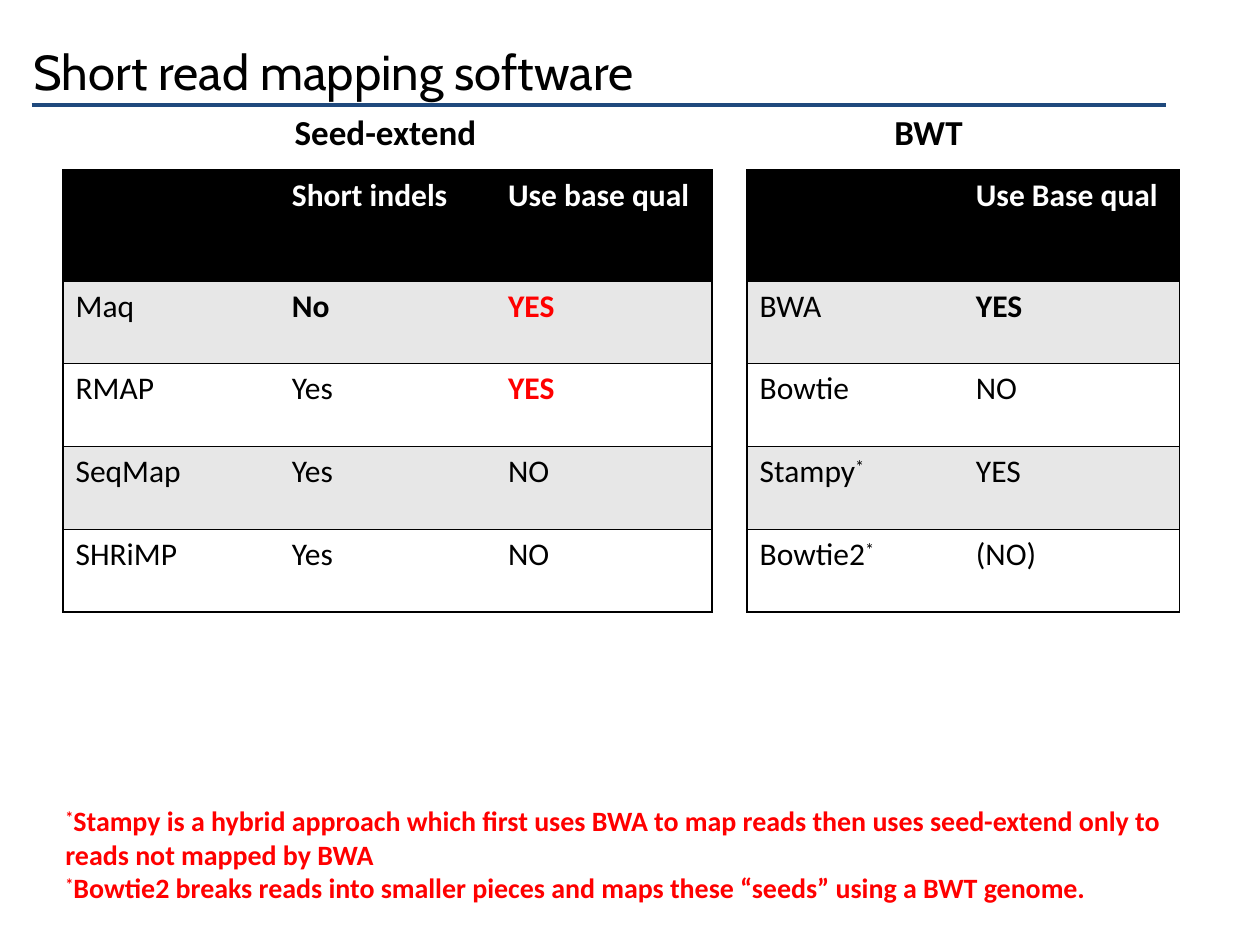
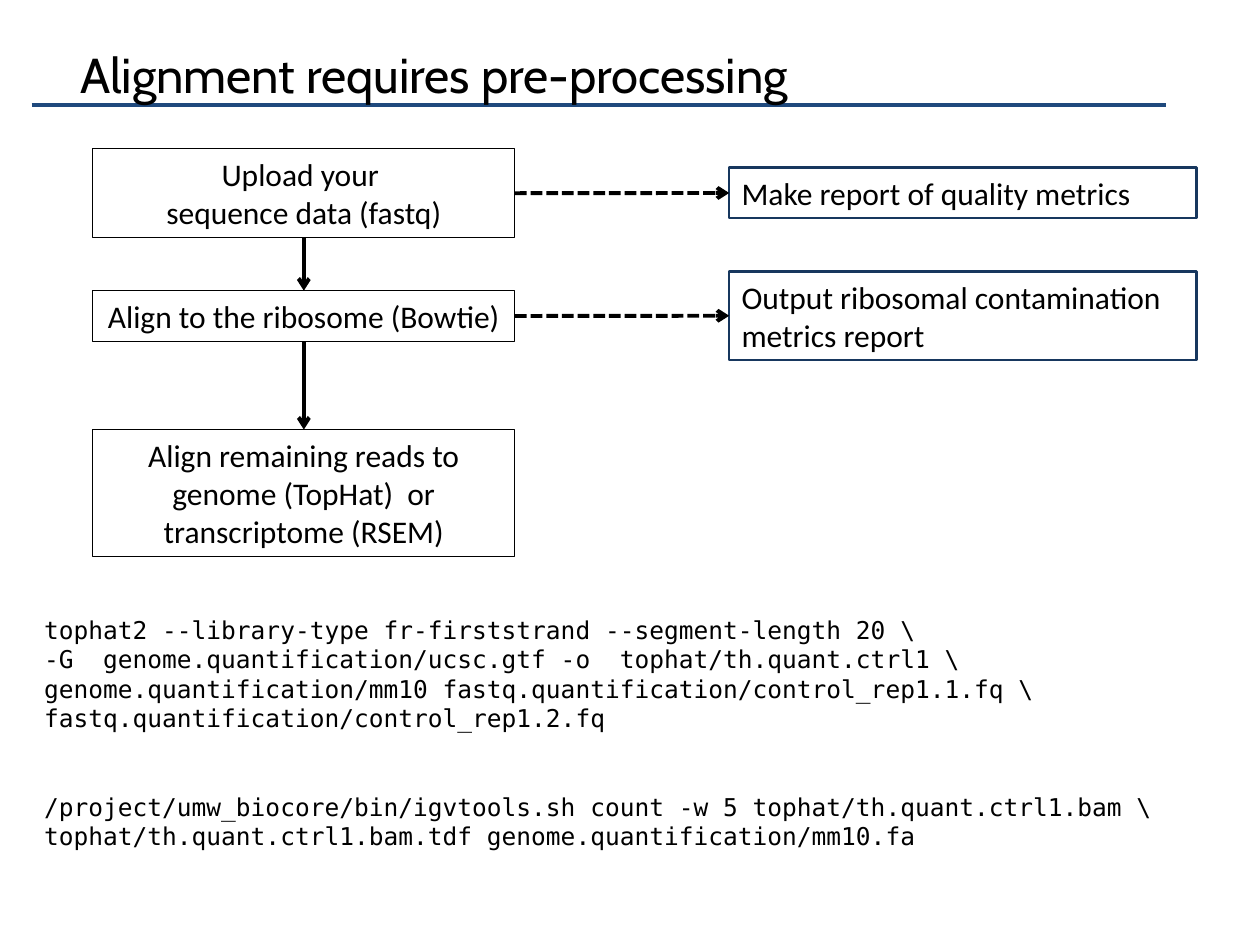
"""Builds two slides on short read mapping and its pre-processing."""
from dataclasses import dataclass
from typing import Optional

from lxml import etree
from pptx import Presentation
from pptx import util as u
from pptx.dml.color import RGBColor
from pptx.enum import dml, shapes, text
from pptx.oxml import ns
from pptx.shapes.autoshape import Shape
from pptx.shapes.connector import Connector
from pptx.slide import Slide
from pptx.table import _Cell
from pptx.text.text import TextFrame, _Paragraph


@dataclass(frozen=True)
class Theme:
    black: str = "000000"
    white: str = "FFFFFF"
    band: str = "E7E7E7"
    alert: str = "FF0000"
    rule: str = "1F497D"
    report: str = "17375E"
    title_size: int = 28
    heading_size: int = 20
    body_size: int = 18
    note_size: int = 16
    code_size: int = 14


THEME = Theme()


@dataclass(frozen=True)
class Style:
    size: int = THEME.body_size
    face: str = "Calibri"
    color: str = THEME.black
    bold: bool = False
    align: text.PP_ALIGN = text.PP_ALIGN.LEFT


BODY = Style()
STRONG = Style(bold=True)
ALERT = Style(bold=True, color=THEME.alert)
HEADER = Style(bold=True, color=THEME.white)
HEADING = Style(THEME.heading_size, bold=True)
NOTE = Style(THEME.note_size, color=THEME.alert, bold=True)
TITLE = Style(THEME.title_size, "Cabin")
CODE = Style(THEME.code_size, "DejaVu Sans Mono")
CENTERED = Style(align=text.PP_ALIGN.CENTER)


@dataclass(frozen=True)
class Area:
    left: float
    top: float
    width: float
    height: float

    def lengths(self) -> tuple[u.Length, ...]:
        return tuple(u.Cm(n) for n in (self.left, self.top, self.width, self.height))


@dataclass(frozen=True)
class SoftwareTable:
    heading: str
    heading_area: Area
    left: float
    rows: list[list[str]]
    emphasis: dict[tuple[int, int], Style]


@dataclass(frozen=True)
class Step:
    lines: list[str]
    area: Area
    report: Optional[str] = None
    report_area: Optional[Area] = None
    wrap: bool = True


TABLE_TOP, COLUMN_WIDTH, HEADER_HEIGHT, ROW_HEIGHT = 3.43, 4.36, 2.23, 1.67

SOFTWARE = [
    SoftwareTable(
        "Seed-extend", Area(5.69, 2.11, 4.22, 1.96), 1.27,
        [["", "Short indels", "Use base qual"],
         ["Maq", "No", "YES"],
         ["RMAP", "Yes", "YES"],
         ["SeqMap", "Yes", "NO"],
         ["SHRiMP", "Yes", "NO"]],
        {(1, 1): STRONG, (1, 2): ALERT, (2, 2): ALERT}),
    SoftwareTable(
        "BWT", Area(17.78, 2.11, 2.54, 1.96), 15.06,
        [["", "Use Base qual"],
         ["BWA", "YES"],
         ["Bowtie", "NO"],
         ["Stampy*", "YES"],
         ["Bowtie2*", "(NO)"]],
        {(1, 1): STRONG}),
]

FOOTNOTES = [
    "*Stampy is a hybrid approach which first uses BWA to map reads "
    "then uses seed-extend only to reads not mapped by BWA",
    "*Bowtie2 breaks reads into smaller pieces and maps these “seeds” using a BWT genome.",
]

STEPS = [
    Step(["Upload your ", "sequence data (fastq)"], Area(1.87, 3, 8.51, 1.79),
         "Make report of quality metrics", Area(14.7, 3.38, 9.42, 1.02)),
    Step(["Align to the ribosome (Bowtie)"], Area(1.87, 5.86, 8.51, 1.02),
         "Output ribosomal contamination metrics report", Area(14.7, 5.47, 9.42, 1.79),
         wrap=False),
    Step(["Align remaining reads to genome (TopHat)  or transcriptome (RSEM)"],
         Area(1.87, 8.66, 8.51, 2.56)),
]

COMMANDS = [
    "tophat2 --library-type fr-firststrand --segment-length 20 \\",
    "-G  genome.quantification/ucsc.gtf -o  tophat/th.quant.ctrl1 \\",
    "genome.quantification/mm10 fastq.quantification/control_rep1.1.fq \\",
    "fastq.quantification/control_rep1.2.fq",
    "/project/umw_biocore/bin/igvtools.sh count -w 5 tophat/th.quant.ctrl1.bam \\ "
    "tophat/th.quant.ctrl1.bam.tdf genome.quantification/mm10.fa",
]

TOP, LEFT, BOTTOM, RIGHT = range(4)


def write_paragraph(para: _Paragraph, line: str, style: Style) -> None:
    """Write a line, raising each asterisk to a footnote mark."""
    para.alignment = style.align
    para.font.size = u.Pt(style.size)
    para.font.name = style.face
    para.font.bold = style.bold
    para.font.color.rgb = RGBColor.from_string(style.color)
    before, mark, after = line.partition("*")
    for part in filter(None, (before, mark, after)):
        span = para.add_run()
        span.text = part
        if part == "*":
            span._r.get_or_add_rPr().set("baseline", "30000")


def write_lines(frame: TextFrame, lines: list[str], style: Style) -> None:
    """Fill a text frame with one paragraph for each line."""
    for index, line in enumerate(lines):
        para = frame.add_paragraph() if index else frame.paragraphs[0]
        write_paragraph(para, line, style)


def add_text(page: Slide, area: Area, lines: list[str], style: Style) -> Shape:
    """Add a wrapping text box."""
    box = page.shapes.add_textbox(*area.lengths())
    box.text_frame.word_wrap = True
    write_lines(box.text_frame, lines, style)
    return box


def add_line(page: Slide, color: str, ends: tuple[float, ...] = (0, 0, 0, 0)) -> Connector:
    """Add a straight line without a shadow."""
    line = page.shapes.add_connector(shapes.MSO_CONNECTOR.STRAIGHT, *map(u.Cm, ends))
    line.line.color.rgb = RGBColor.from_string(color)
    line.line.width = u.Pt(2.25)
    etree.SubElement(line._element.spPr, ns.qn("a:effectLst"))
    return line


def add_arrow(page: Slide, start: Shape, start_site: int, end: Shape, end_site: int,
              dashed: bool = False) -> None:
    """Join two boxes with an arrow."""
    arrow = add_line(page, THEME.black)
    arrow.begin_connect(start, start_site)
    arrow.end_connect(end, end_site)
    if dashed:
        arrow.line.dash_style = dml.MSO_LINE.SQUARE_DOT
    etree.SubElement(arrow.line._get_or_add_ln(), ns.qn("a:tailEnd"), type="arrow")


def add_box(page: Slide, area: Area, lines: list[str], style: Style,
            color: str, width: float, wrap: bool = True) -> Shape:
    """Add an outlined box with text."""
    box = page.shapes.add_shape(shapes.MSO_SHAPE.RECTANGLE, *area.lengths())
    box.shadow.inherit = False
    box.fill.background()
    box.line.color.rgb = RGBColor.from_string(color)
    box.line.width = u.Pt(width)
    box.text_frame.word_wrap = wrap
    write_lines(box.text_frame, lines, style)
    return box


def set_borders(cell: _Cell, first: bool, last: bool) -> None:
    """Rule a cell above and below, and at the outer sides of its table."""
    properties = cell._tc.get_or_add_tcPr()
    for tag, drawn in (("a:lnL", first), ("a:lnR", last), ("a:lnT", True), ("a:lnB", True)):
        border = etree.SubElement(properties, ns.qn(tag), w=str(u.Pt(1)))
        if drawn:
            fill = etree.SubElement(border, ns.qn("a:solidFill"))
            etree.SubElement(fill, ns.qn("a:srgbClr"), val=THEME.black)
        else:
            etree.SubElement(border, ns.qn("a:noFill"))


def add_software_table(page: Slide, software: SoftwareTable) -> None:
    """Add a banded table of mapping software."""
    count = len(software.rows[0])
    area = Area(software.left, TABLE_TOP, COLUMN_WIDTH * count,
                HEADER_HEIGHT + ROW_HEIGHT * (len(software.rows) - 1))
    table = page.shapes.add_table(len(software.rows), count, *area.lengths()).table
    table.first_row = table.horz_banding = False
    for column in table.columns:
        column.width = u.Cm(COLUMN_WIDTH)
    for r, values in enumerate(software.rows):
        table.rows[r].height = u.Cm(ROW_HEIGHT if r else HEADER_HEIGHT)
        fill = (THEME.band if r % 2 else THEME.white) if r else THEME.black
        for c, value in enumerate(values):
            cell = table.cell(r, c)
            set_borders(cell, c == 0, c == count - 1)
            cell.fill.solid()
            cell.fill.fore_color.rgb = RGBColor.from_string(fill)
            style = software.emphasis.get((r, c), BODY) if r else HEADER
            write_lines(cell.text_frame, [value], style)


def add_page(deck: Presentation, title: str, area: Area) -> Slide:
    """Add a blank slide with the shared rule and title."""
    page = deck.slides.add_slide(deck.slide_layouts[6])
    add_line(page, THEME.rule, (0.64, 2.11, 23.5, 2.11))
    box = add_text(page, area, [title], TITLE)
    box.text_frame.vertical_anchor = text.MSO_ANCHOR.MIDDLE
    return page


def build_software_page(deck: Presentation) -> None:
    """Build the comparison of mapping software."""
    page = add_page(deck, "Short read mapping software", Area(0.43, 0.64, 22.86, 1.57))
    for software in SOFTWARE:
        add_software_table(page, software)
        add_text(page, software.heading_area, [software.heading], HEADING)
    add_text(page, Area(1.07, 16.08, 22.86, 3), FOOTNOTES, NOTE)


def build_alignment_page(deck: Presentation) -> None:
    """Build the pre-processing flow and its commands."""
    page = add_page(deck, "Alignment requires pre-processing", Area(1.37, 0.56, 22.86, 1.85))
    previous = None
    for step in STEPS:
        box = add_box(page, step.area, step.lines, CENTERED, THEME.black, 0.75, step.wrap)
        if previous:
            add_arrow(page, previous, BOTTOM, box, TOP)
        if step.report:
            report = add_box(page, step.report_area, [step.report], BODY, THEME.report, 1.5)
            add_arrow(page, box, RIGHT, report, LEFT, dashed=True)
        previous = box
    commands = add_text(page, Area(0.64, 12.27, 24.13, 5.05), COMMANDS, CODE)
    commands.text_frame.paragraphs[-1].space_before = u.Pt(34)


def main() -> None:
    """Build and save the deck."""
    deck = Presentation()
    deck.slide_width, deck.slide_height = u.Cm(25.4), u.Cm(19.05)
    build_software_page(deck)
    build_alignment_page(deck)
    deck.save("out.pptx")


if __name__ == "__main__":
    main()
